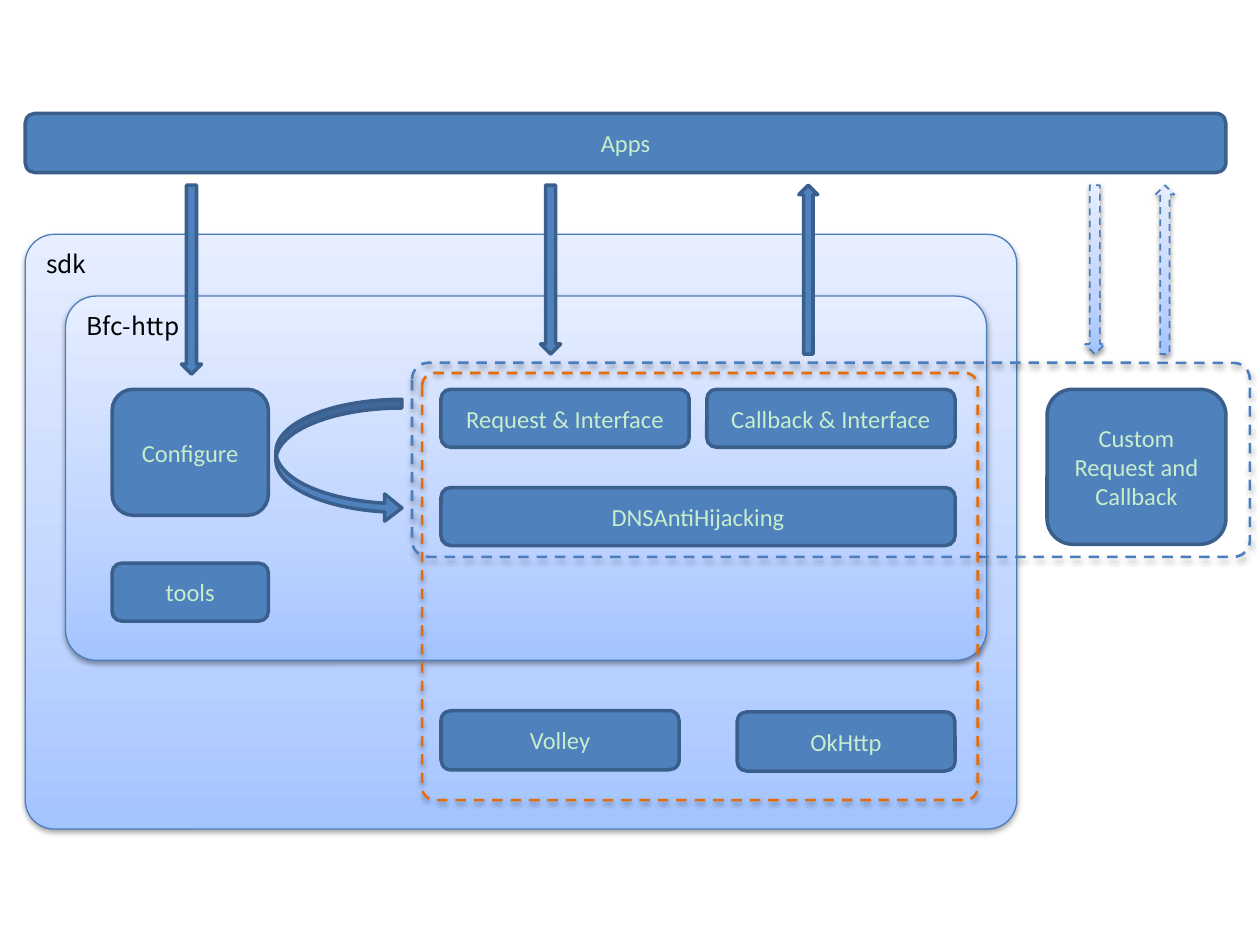
"""Build a slide of the layers of an HTTP sdk below its apps."""
from lxml import etree
from pptx import Presentation
from pptx.dml.color import RGBColor
from pptx.enum.dml import MSO_LINE
from pptx.enum.shapes import MSO_SHAPE
from pptx.enum.text import MSO_ANCHOR, PP_ALIGN
from pptx.oxml.ns import qn
from pptx.util import Inches, Pt

ROUND = MSO_SHAPE.ROUNDED_RECTANGLE
DOWN, UP = MSO_SHAPE.DOWN_ARROW, MSO_SHAPE.UP_ARROW
CURVED = MSO_SHAPE.CURVED_RIGHT_ARROW
DASH = MSO_LINE.DASH
TOP, MIDDLE = MSO_ANCHOR.TOP, MSO_ANCHOR.MIDDLE
LEFT, CENTER = PP_ALIGN.LEFT, PP_ALIGN.CENTER

COLORS = {
    "box": "4F81BD", "edge": "3A5F8C", "rim": "4B7EBC",
    "mint": "C7EDCC", "black": "000000", "orange": "E46C0A",
}
STOPS = [(0, "A4C4FF"), (35, "BFD4FF"), (100, "E6EEFF")]

# fill, line colour, line width, dashed, shadow
STYLES = {
    "solid": ("box", "edge", 2, False, False),
    "panel": ("fade", "rim", 0.75, False, True),
    "ghost": ("fade", "rim", 1, True, True),
    "frame": (None, "rim", 1.5, True, True),
    "group": (None, "orange", 1.5, True, True),
}

COL, END = 3.5, 7.58
ROW, HIGH = 3.09, 0.46
HALF = 1.97
SIDE, SLIM = 0.89, 1.24
EDGE, HEAD = 0.2, 1.47

PANELS = [
    ("sdk", (EDGE, 1.86, 7.87, 4.72), 0.049),
    ("Bfc-http", (0.52, 2.35, 7.31, 2.89), 0.084),
]
BOXES = [
    ("Request & Interface", (COL, ROW, HALF, HIGH)),
    ("Configure", (SIDE, ROW, SLIM, 1)),
    ("Volley", (COL, 5.64, 1.89, 0.47)),
    ("OkHttp", (5.85, 5.65, 1.73, 0.47)),
    ("Callback & Interface", (END - HALF, ROW, HALF, HIGH)),
    ("Custom\nRequest and Callback", (8.31, ROW, 1.42, 1.23)),
    ("DNSAntiHijacking", (COL, 3.87, END - COL, HIGH)),
    ("tools", (SIDE, 4.47, SLIM, HIGH)),
    ("Apps", (EDGE, 0.9, 9.53, 0.47)),
]
ARROWS = [
    (DOWN, 1.44, 0.16, 1.5, "solid"),
    (DOWN, 4.29, 0.16, 1.34, "solid"),
    (UP, 6.34, 0.15, 1.34, "solid"),
    (DOWN, 8.61, 0.16, 1.34, "ghost"),
    (UP, 9.17, 0.15, 1.34, "ghost"),
]


def color(name):
    return RGBColor.from_string(COLORS[name])


def fade(shape):
    shape.fill.gradient()
    shape.fill.gradient_angle = 90
    stops = shape.fill._fill._gradFill.find(qn("a:gsLst"))
    for stop in list(stops):
        stops.remove(stop)
    for place, tone in STOPS:
        stop = etree.SubElement(stops, qn("a:gs"), pos=str(place * 1000))
        etree.SubElement(stop, qn("a:srgbClr"), val=tone)


def shade(shape):
    effect = shape._element.spPr.find(qn("a:effectLst"))
    outer = etree.SubElement(
        effect, qn("a:outerShdw"), blurRad=str(Pt(3.1)), dist=str(Pt(1.6)),
        dir="5400000", rotWithShape="0")
    tone = etree.SubElement(outer, qn("a:srgbClr"), val=COLORS["black"])
    etree.SubElement(tone, qn("a:alpha"), val="38000")


def draw(kind, place, style, adjust=()):
    fill, line, width, dashed, shadow = STYLES[style]
    shape = slide.shapes.add_shape(kind, *map(Inches, place))
    for index, value in enumerate(adjust):
        shape.adjustments[index] = value
    if fill == "fade":
        fade(shape)
    elif fill:
        shape.fill.solid()
        shape.fill.fore_color.rgb = color(fill)
    else:
        shape.fill.background()
    shape.line.color.rgb = color(line)
    shape.line.width = Pt(width)
    if dashed:
        shape.line.dash_style = DASH
    shape.shadow.inherit = False
    if shadow:
        shade(shape)
    return shape


def write(shape, text, font, tone, anchor, align):
    frame = shape.text_frame
    frame.text = text
    frame.word_wrap = True
    frame.vertical_anchor = anchor
    for para in frame.paragraphs:
        para.alignment = align
        para.font.name = font
        para.font.size = Pt(14)
        para.font.color.rgb = color(tone)


deck = Presentation()
deck.slide_width, deck.slide_height = Inches(10), Inches(7.5)
slide = deck.slides.add_slide(deck.slide_layouts[6])

for text, place, bend in PANELS:
    panel = draw(ROUND, place, "panel", [bend])
    write(panel, text, "Noto Sans CJK SC", "black", TOP, LEFT)
draw(ROUND, (3.27, 2.88, 6.65, 1.54), "frame", [0.084])
for text, place in BOXES:
    write(draw(ROUND, place, "solid"), text, "Calibri", "mint", MIDDLE, CENTER)
for kind, left, width, height, style in ARROWS:
    draw(kind, (left, HEAD, width, height), style)
draw(CURVED, (2.19, 3.17, 1, 0.97), "solid", [0.071, 0.222, 0.141])
draw(ROUND, (3.35, 2.96, 4.41, 3.39), "group", [0.03])

deck.save("out.pptx")
